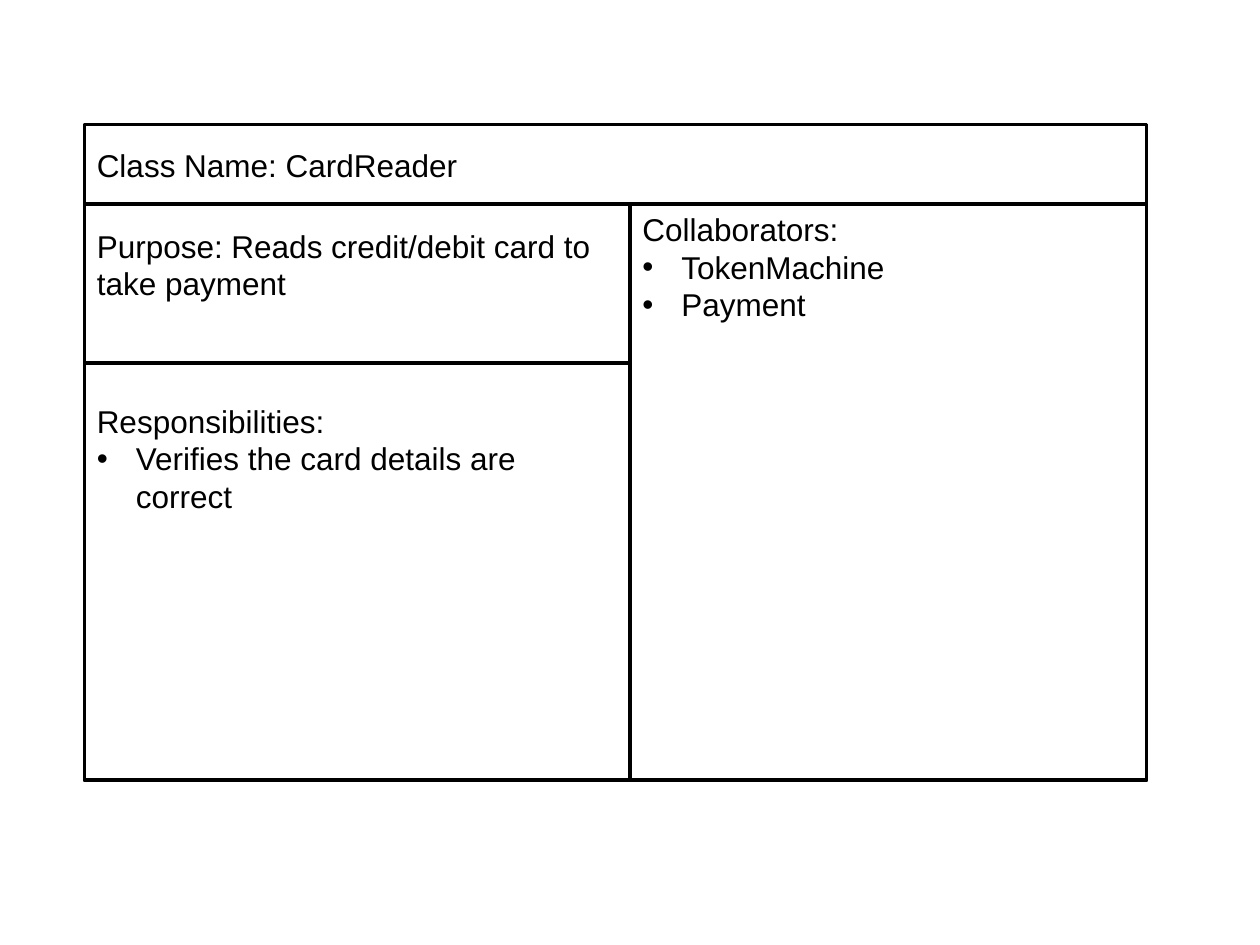
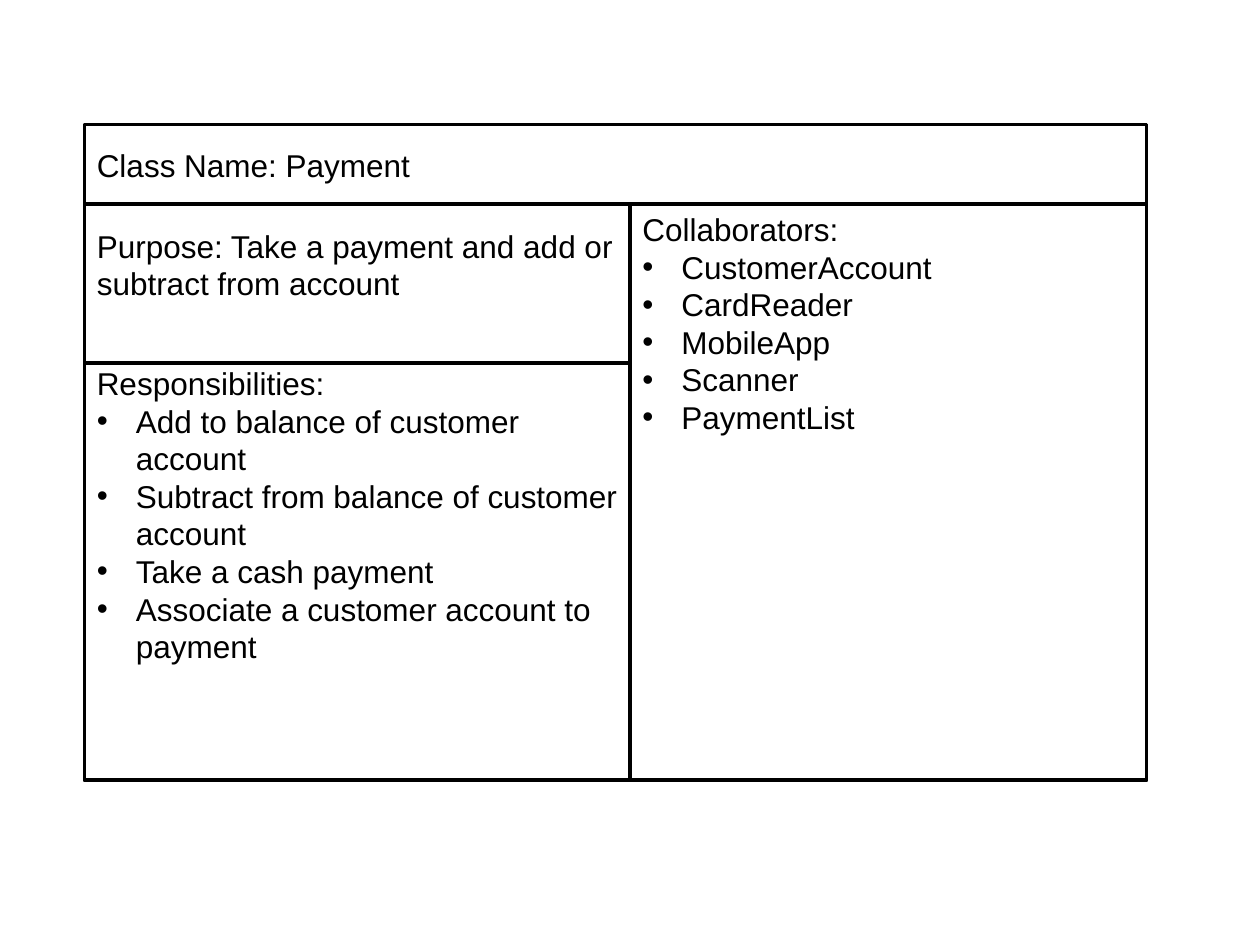
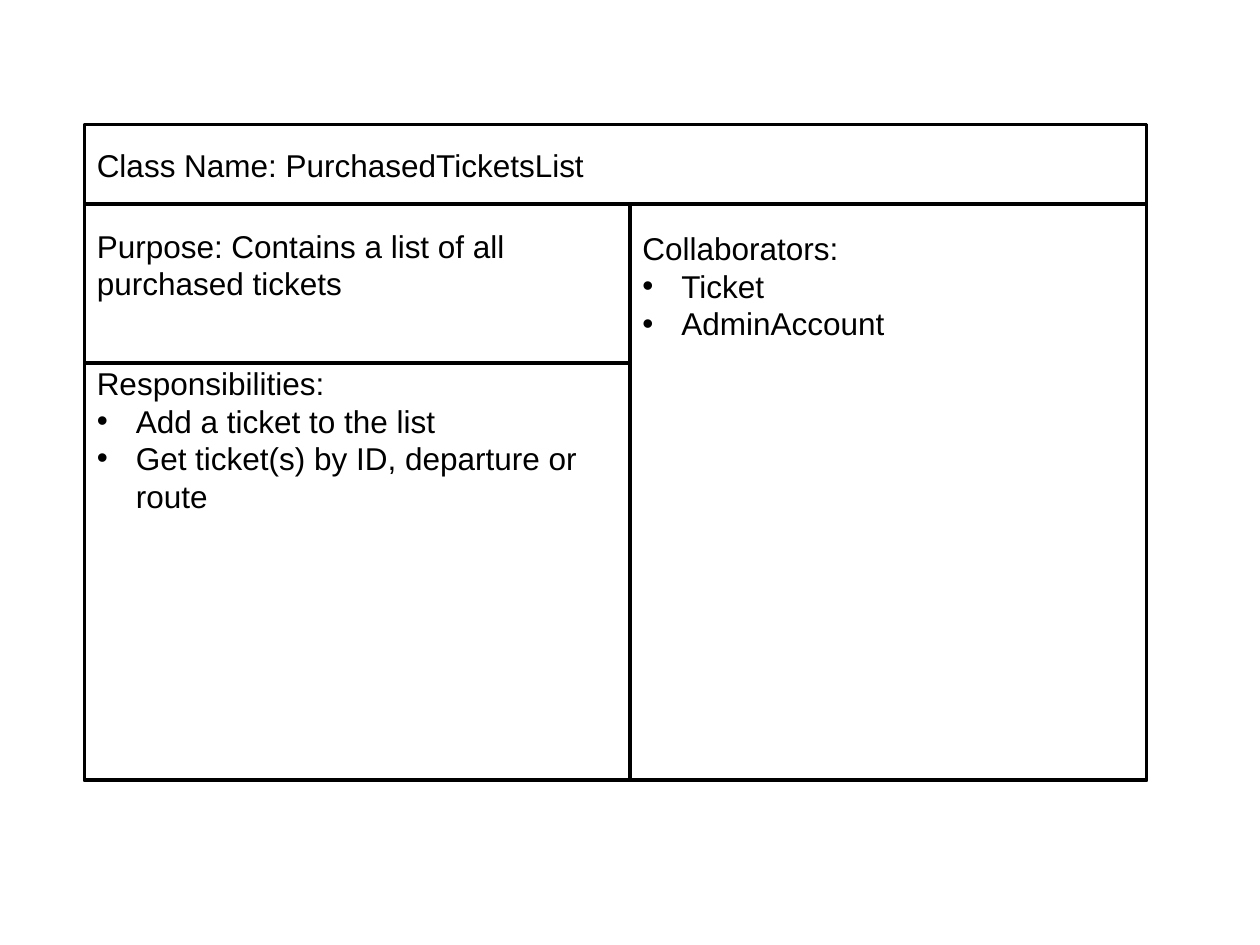
"""Builds a deck of class cards: name, purpose, responsibilities and collaborators."""
from dataclasses import dataclass

from lxml import etree
from pptx import Presentation
from pptx.dml.color import RGBColor
from pptx.enum.shapes import MSO_SHAPE
from pptx.enum.text import MSO_ANCHOR, PP_ALIGN
from pptx.oxml.ns import qn
from pptx.shapes.autoshape import Shape
from pptx.shapes.group import GroupShape
from pptx.slide import Slide
from pptx.util import Inches, Pt

RECTANGLE = MSO_SHAPE.RECTANGLE
ANCHOR_TOP = MSO_ANCHOR.TOP
ALIGN_LEFT = PP_ALIGN.LEFT

BLACK = RGBColor(0x00, 0x00, 0x00)
WHITE = RGBColor(0xFF, 0xFF, 0xFF)
FONT_NAME = "Arial"
FONT_SIZE = Pt(18)
LINE_PITCH = Pt(21.5)
BORDER_WIDTH = Pt(2)
SIDE_INSET = Inches(0.1)
BULLET_INDENT = Inches(0.31)

CARD_LEFT, CARD_MIDDLE, CARD_RIGHT = 0.67, 5.0, 9.1
NAME_TOP, PURPOSE_TOP, DUTIES_TOP, CARD_BOTTOM = 0.99, 1.62, 2.88, 6.19
NAME_INSET, PURPOSE_INSET = 0.17, 0.18


@dataclass(frozen=True)
class Area:
    """Edges of a box on the card, in inches."""

    left: float
    top: float
    right: float
    bottom: float


@dataclass(frozen=True)
class Listing:
    """Bulleted items and the space above their heading, in inches."""

    inset: float
    items: tuple[str, ...]


@dataclass(frozen=True)
class ClassCard:
    """Content of one class card."""

    name: str
    purpose: str
    responsibilities: Listing
    collaborators: Listing


CARD_AREA = Area(CARD_LEFT, NAME_TOP, CARD_RIGHT, CARD_BOTTOM)
NAME_AREA = Area(CARD_LEFT, NAME_TOP, CARD_RIGHT, PURPOSE_TOP)
PURPOSE_AREA = Area(CARD_LEFT, PURPOSE_TOP, CARD_MIDDLE, DUTIES_TOP)
DUTIES_AREA = Area(CARD_LEFT, DUTIES_TOP, CARD_MIDDLE, CARD_BOTTOM)
COLLABORATORS_AREA = Area(CARD_MIDDLE, PURPOSE_TOP, CARD_RIGHT, CARD_BOTTOM)

CARDS = (
    ClassCard(
        "CardReader",
        "Reads credit/debit card to take payment",
        Listing(0.31, ("Verifies the card details are correct",)),
        Listing(0.05, ("TokenMachine", "Payment")),
    ),
    ClassCard(
        "Payment",
        "Take a payment and add or subtract from account",
        Listing(0.01, (
            "Add to balance of customer account",
            "Subtract from balance of customer account",
            "Take a cash payment",
            "Associate a customer account to payment",
        )),
        Listing(0.05, ("CustomerAccount", "CardReader", "MobileApp", "Scanner", "PaymentList")),
    ),
    ClassCard(
        "PurchasedTicketsList",
        "Contains a list of all purchased tickets",
        Listing(0.01, ("Add a ticket to the list", "Get ticket(s) by ID, departure or route")),
        Listing(0.2, ("Ticket", "AdminAccount")),
    ),
)


def add_box(group: GroupShape, area: Area) -> Shape:
    """Draw a white box with a black border."""
    box = group.shapes.add_shape(
        RECTANGLE,
        Inches(area.left),
        Inches(area.top),
        Inches(area.right - area.left),
        Inches(area.bottom - area.top),
    )
    box.shadow.inherit = False
    box.fill.solid()
    box.fill.fore_color.rgb = WHITE
    box.line.color.rgb = BLACK
    box.line.width = BORDER_WIDTH
    return box


def add_text_box(
    group: GroupShape, area: Area, inset: float, heading: str, items: tuple[str, ...] = ()
) -> None:
    """Draw a box with a heading and bulleted items below it."""
    frame = add_box(group, area).text_frame
    frame.word_wrap = True
    frame.vertical_anchor = ANCHOR_TOP
    frame.margin_left = frame.margin_right = SIDE_INSET
    frame.margin_top = Inches(inset)
    frame.margin_bottom = 0
    frame.text = "\n".join((heading, *items))
    for index, para in enumerate(frame.paragraphs):
        para.alignment = ALIGN_LEFT
        para.line_spacing = LINE_PITCH
        if index > 0:
            properties = para._p.get_or_add_pPr()
            properties.set("marL", str(BULLET_INDENT))
            properties.set("indent", str(-BULLET_INDENT))
            etree.SubElement(properties, qn("a:buFont"), typeface=FONT_NAME)
            etree.SubElement(properties, qn("a:buChar"), char="•")
        para.font.name = FONT_NAME
        para.font.size = FONT_SIZE
        para.font.color.rgb = BLACK


def draw_card(page: Slide, card: ClassCard) -> None:
    """Draw one class card as a group."""
    group = page.shapes.add_group_shape()
    add_box(group, CARD_AREA)
    add_text_box(group, PURPOSE_AREA, PURPOSE_INSET, f"Purpose: {card.purpose}")
    for area, heading, listing in (
        (DUTIES_AREA, "Responsibilities:", card.responsibilities),
        (COLLABORATORS_AREA, "Collaborators:", card.collaborators),
    ):
        add_text_box(group, area, listing.inset, heading, listing.items)
    add_text_box(group, NAME_AREA, NAME_INSET, f"Class Name: {card.name}")


def main() -> None:
    """Build the deck with one card per page and save it."""
    deck = Presentation()
    deck.slide_width = Inches(10)
    deck.slide_height = Inches(7.5)
    blank_layout = deck.slide_layouts[6]
    for card in CARDS:
        draw_card(deck.slides.add_slide(blank_layout), card)
    deck.save("out.pptx")


if __name__ == "__main__":
    main()
